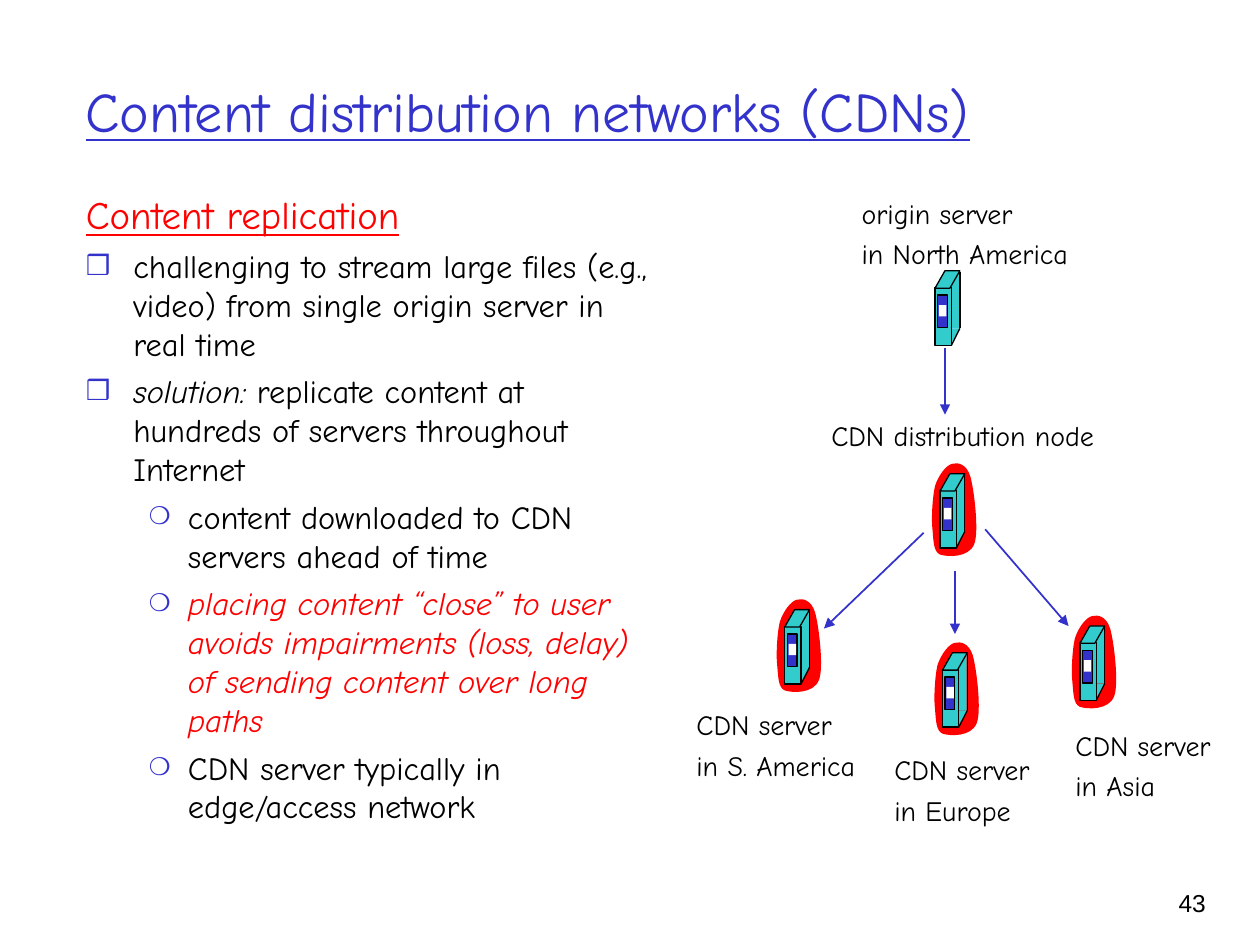
from typing import NamedTuple

from lxml.etree import SubElement
from pptx import Presentation
from pptx.dml.color import RGBColor
from pptx.enum.shapes import MSO_CONNECTOR, MSO_SHAPE
from pptx.enum.text import MSO_ANCHOR, MSO_AUTO_SIZE, PP_ALIGN
from pptx.oxml.ns import qn
from pptx.util import Cm, Pt

BLUE, RED, TEAL, BLACK, WHITE = "3333CC", "FF0000", "33CCCC", "000000", "FFFFFF"
FONT = "Comic Neue"
RECT, SLANT = MSO_SHAPE.RECTANGLE, MSO_SHAPE.PARALLELOGRAM


class Server(NamedTuple):
    left: float
    top: float
    halo: bool = True


class Part(NamedTuple):
    """A face of a server, placed from the server's top left corner."""
    kind: MSO_SHAPE
    left: float
    top: float
    width: float
    height: float
    fill: str
    outlined: bool = True


class Label(NamedTuple):
    left: float
    top: float
    width: float
    height: float
    lines: tuple[str, ...]


class Arrow(NamedTuple):
    x1: float
    y1: float
    x2: float
    y2: float


class Bullet(NamedTuple):
    symbol: str
    percent: int
    indent: float
    hanging: float


class Point(NamedTuple):
    bullet: Bullet
    text: str
    color: str = BLACK
    italic: bool = False
    lead: str = ""


SQUARE = Bullet("❒", 85, 0.96, 0.96)
CIRCLE = Bullet("❍", 75, 2.06, 0.79)
POINTS = [
    Point(SQUARE, "challenging to stream large files (e.g., video) from single "
                  "origin server in real time"),
    Point(SQUARE, " replicate content at hundreds of servers throughout Internet",
          lead="solution:"),
    Point(CIRCLE, "content downloaded to CDN servers ahead of time"),
    Point(CIRCLE, "placing content “close” to user avoids impairments (loss, delay) "
                  "of sending content over long paths", RED, True),
    Point(CIRCLE, "CDN server typically in edge/access network"),
]
SERVERS = [Server(18.85, 5.46, halo=False), Server(15.82, 12.29), Server(19, 13.16),
           Server(21.77, 12.62), Server(18.95, 9.55)]
BODY = [Part(SLANT, 0, 1.16, 0.5, 0.35, TEAL, False),
        Part(RECT, 0.26, 0, 0.23, 1.16, TEAL, False),
        Part(RECT, 0, 0.34, 0.33, 1.16, TEAL),
        Part(SLANT, 0, 0, 0.5, 0.35, TEAL)]
EDGES = [Arrow(0.5, 0.02, 0.5, 1.16), Arrow(0.5, 1.16, 0.33, 1.5)]
PANEL = [Part(RECT, 0.05, 0.49, 0.2, 0.66, BLUE),
         Part(RECT, 0.08, 0.69, 0.15, 0.23, WHITE, False)]
HALO_START = (-0.1, 0.25)
HALO_CURVES = [((-0.03, 0.03), (0.13, -0.18), (0.25, -0.2)),
               ((0.36, -0.23), (0.53, -0.2), (0.61, 0.05)),
               ((0.69, 0.33), (0.79, 1.17), (0.69, 1.42)),
               ((0.58, 1.7), (0.15, 1.68), (0, 1.63)),
               ((-0.13, 1.57), (-0.13, 1.37), (-0.15, 1.14)),
               ((-0.18, 0.91), (-0.15, 0.46), HALO_START)]
LABELS = [Label(17.12, 3.83, 4.7, 1.75, ("origin server", "in North America")),
          Label(16.51, 8.31, 5.85, 0.94, ("CDN distribution node",)),
          Label(13.79, 14.14, 3.75, 1.75, ("CDN server", "in S. America")),
          Label(17.78, 15.05, 3.25, 1.75, ("CDN server", "in Europe")),
          Label(21.43, 14.56, 3.25, 1.75, ("CDN server", "in Asia"))]
ARROWS = [Arrow(19.05, 7.01, 19.05, 8.36), Arrow(18.62, 10.74, 16.61, 12.67),
          Arrow(19.25, 11.51, 19.25, 12.78), Arrow(19.86, 10.67, 21.54, 12.62)]


def rgb(color: str) -> RGBColor:
    return RGBColor.from_string(color)


def add_span(para, text: str, *, size: float, color: str = BLACK, font: str = FONT,
             italic: bool = False, underline: bool = False) -> None:
    span = para.add_run()
    span.text = text
    span.font.name, span.font.size = font, Pt(size)
    span.font.color.rgb = rgb(color)
    span.font.italic, span.font.underline = italic, underline


def add_box(page, left: float, top: float, width: float, height: float, wrap: bool = True):
    box = page.shapes.add_textbox(Cm(left), Cm(top), Cm(width), Cm(height))
    box.text_frame.word_wrap = wrap
    return box.text_frame


def set_indent(para, indent: float, hanging: float) -> None:
    props = para._p.get_or_add_pPr()
    props.set("marL", str(Cm(indent)))
    props.set("indent", str(-Cm(hanging)))


def set_bullet(para, bullet: Bullet) -> None:
    set_indent(para, bullet.indent, bullet.hanging)
    props = para._p.get_or_add_pPr()
    SubElement(SubElement(props, qn("a:buClr")), qn("a:srgbClr"), val=BLUE)
    SubElement(props, qn("a:buSzPct"), val=str(bullet.percent * 1000))
    SubElement(props, qn("a:buFont"), typeface="Arial")
    SubElement(props, qn("a:buChar"), char=bullet.symbol)


def add_line(shapes, line: Arrow, color: str, width: float, head: bool = False) -> None:
    link = shapes.add_connector(MSO_CONNECTOR.STRAIGHT, *map(Cm, line))
    link.line.color.rgb, link.line.width = rgb(color), Pt(width)
    if head:
        SubElement(link.line._get_or_add_ln(), qn("a:tailEnd"), type="triangle")
    SubElement(link._element.spPr, qn("a:effectLst"))


def paint(shape, fill: str, outlined: bool) -> None:
    shape.shadow.inherit = False
    shape.fill.solid()
    shape.fill.fore_color.rgb = rgb(fill)
    if outlined:
        shape.line.color.rgb, shape.line.width = rgb(BLACK), Pt(0.75)
    else:
        shape.line.fill.background()


def add_part(shapes, server: Server, part: Part) -> None:
    shape = shapes.add_shape(part.kind, Cm(server.left + part.left), Cm(server.top + part.top),
                             Cm(part.width), Cm(part.height))
    if part.kind == SLANT:
        shape.adjustments[0] = 0.57
    paint(shape, part.fill, part.outlined)


def bend_lines(shape) -> None:
    """Turn every three line segments of a freeform into one cubic curve."""
    lines = list(shape._element.iter(qn("a:lnTo")))
    for first, second, third in zip(lines[::3], lines[1::3], lines[2::3]):
        first.tag = qn("a:cubicBezTo")
        for line in (second, third):
            first.append(line[0])
            line.getparent().remove(line)


def add_halo(shapes, server: Server) -> None:
    def place(point):
        return Cm(server.left + point[0]), Cm(server.top + point[1])

    outline = shapes.build_freeform(*place(HALO_START))
    outline.add_line_segments([place(point) for curve in HALO_CURVES for point in curve])
    halo = outline.convert_to_shape()
    # The closing segment ends where the last curve does.
    bend_lines(halo)
    paint(halo, RED, False)


def add_server(page, server: Server) -> None:
    shapes = page.shapes.add_group_shape().shapes
    if server.halo:
        add_halo(shapes, server)
    for part in BODY:
        add_part(shapes, server, part)
    for x1, y1, x2, y2 in EDGES:
        add_line(shapes, Arrow(server.left + x1, server.top + y1,
                               server.left + x2, server.top + y2), BLACK, 0.75)
    for part in PANEL:
        add_part(shapes, server, part)


def add_title(page) -> None:
    title = page.shapes.title
    title.left, title.top, title.width, title.height = map(Cm, (1.47, 0.64, 22.3, 3.18))
    frame = title.text_frame
    frame.vertical_anchor, frame.auto_size = MSO_ANCHOR.MIDDLE, MSO_AUTO_SIZE.NONE
    frame.paragraphs[0].alignment = PP_ALIGN.LEFT
    add_span(frame.paragraphs[0], "Content distribution networks (CDNs)",
             size=32, color=BLUE, underline=True)


def add_points(page) -> None:
    frame = add_box(page, 1.48, 3.72, 11.91, 13.64)
    heading = frame.paragraphs[0]
    heading.space_before = Pt(6)
    set_indent(heading, 0.96, 0.96)
    add_span(heading, "Content replication", size=22.2, color=RED, underline=True)
    for point in POINTS:
        para = frame.add_paragraph()
        para.space_before = Pt(5)
        para.level = int(point.bullet is CIRCLE)
        set_bullet(para, point.bullet)
        if point.lead:
            add_span(para, point.lead, size=18.5, italic=True)
        add_span(para, point.text, size=18.5, color=point.color, italic=point.italic)


def add_label(page, label: Label) -> None:
    frame = add_box(page, *label[:4], wrap=False)
    frame.auto_size = MSO_AUTO_SIZE.SHAPE_TO_FIT_TEXT
    for index, line in enumerate(label.lines):
        para = frame.add_paragraph() if index else frame.paragraphs[0]
        para.space_before = Pt(4)
        add_span(para, line, size=16)


def main() -> None:
    deck = Presentation()
    deck.slide_width, deck.slide_height = Cm(25.4), Cm(19.05)
    page = deck.slides.add_slide(deck.slide_layouts[5])
    add_title(page)
    add_points(page)
    for server in SERVERS:
        add_server(page, server)
    for label in LABELS:
        add_label(page, label)
    for arrow in ARROWS:
        add_line(page.shapes, arrow, BLUE, 1, head=True)
    number = add_box(page, 22.68, 17.78, 1.88, 1.27).paragraphs[0]
    number.alignment = PP_ALIGN.RIGHT
    add_span(number, "43", size=14, font="Arial")
    deck.save("out.pptx")


if __name__ == "__main__":
    main()
